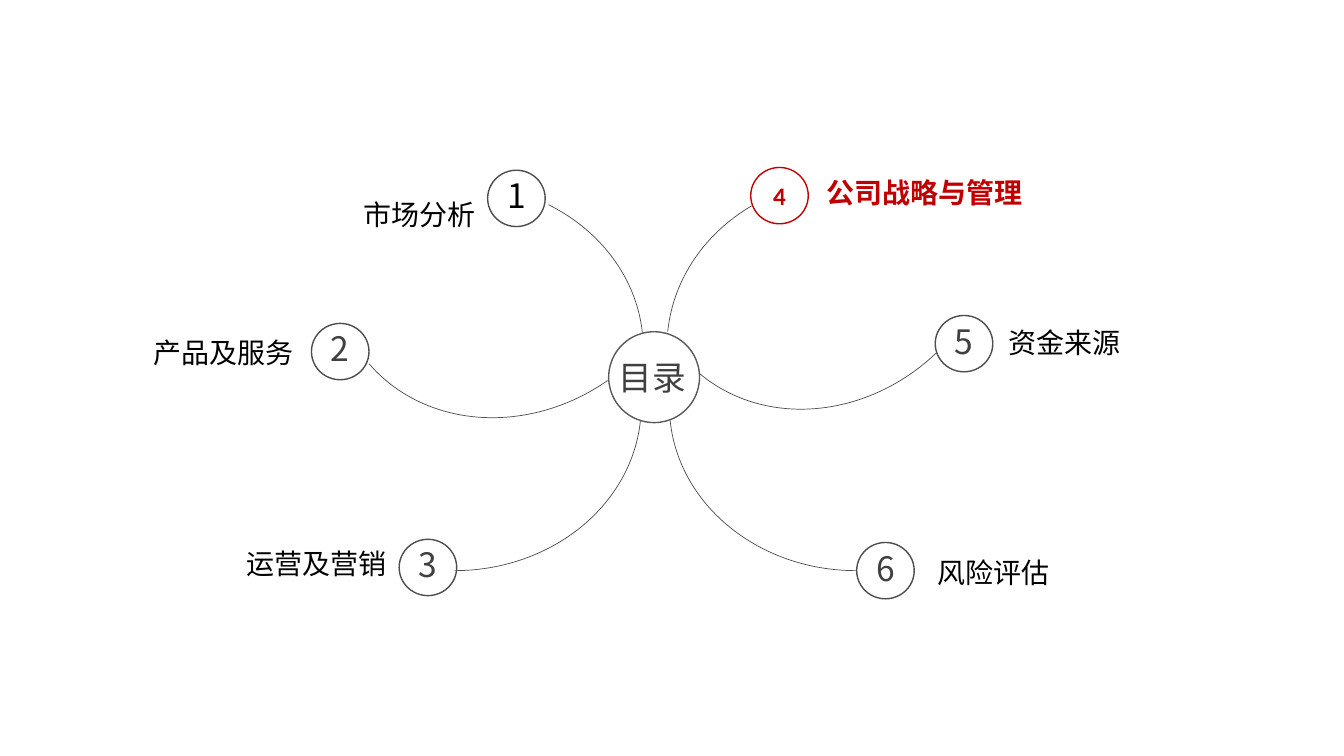
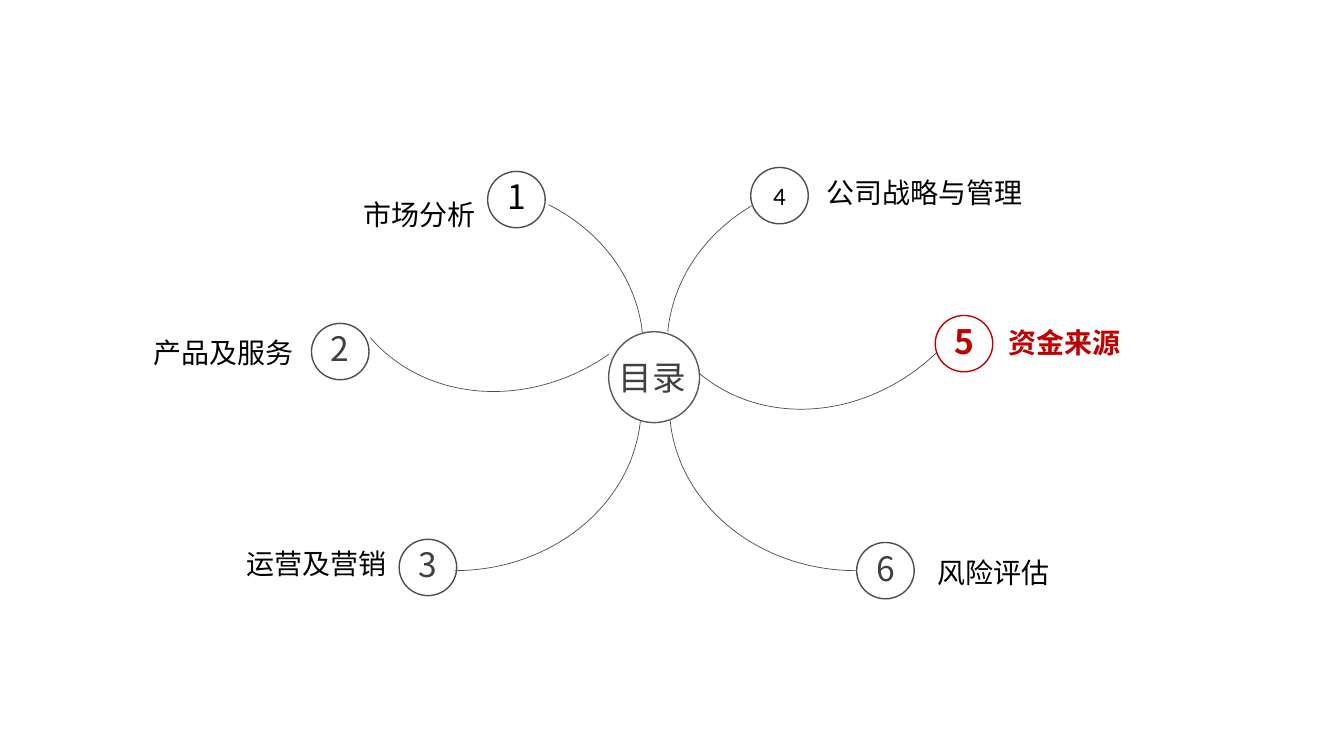
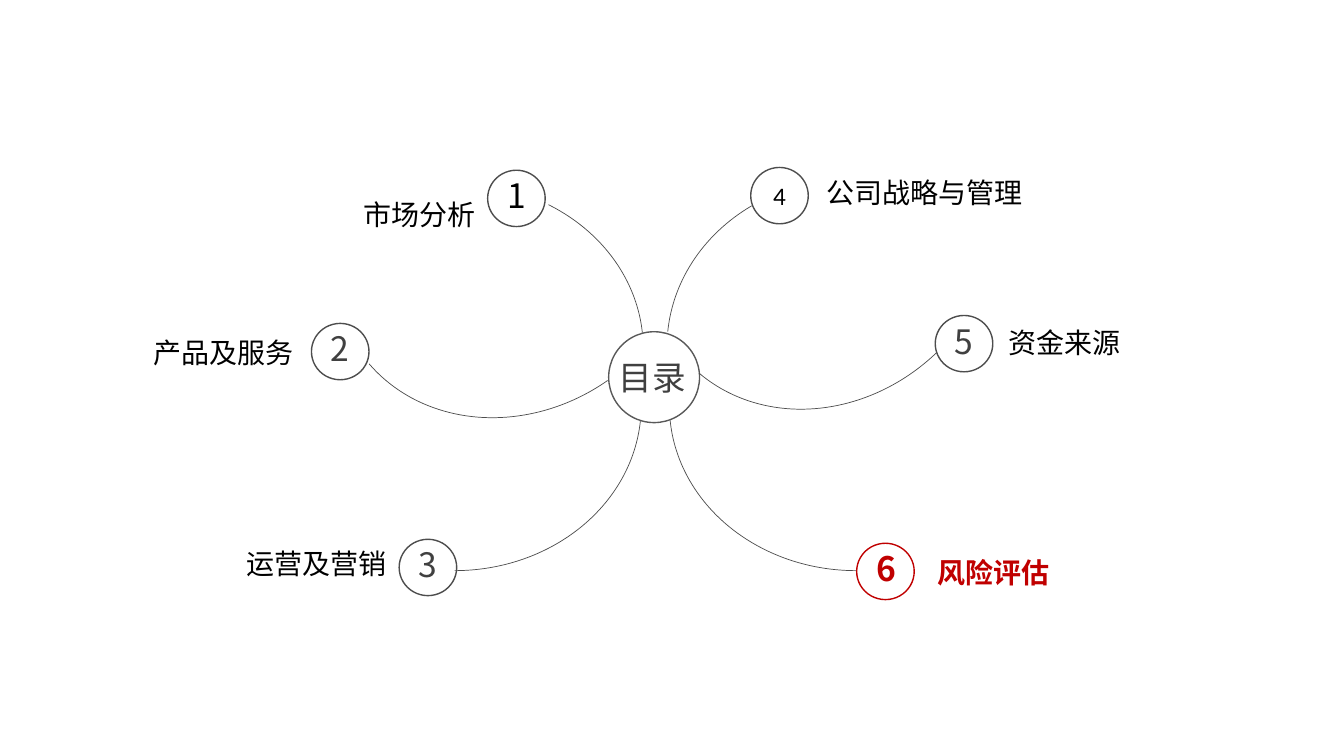
from pptx import Presentation
from pptx.dml.color import RGBColor
from pptx.enum.shapes import MSO_SHAPE as SHAPE
from pptx.enum.text import MSO_ANCHOR as ANCHOR, MSO_AUTO_SIZE as AUTO, PP_ALIGN as ALIGN
from pptx.oxml.ns import qn
from pptx.util import Cm, Pt
from lxml import etree

BLACK = RGBColor(0x00, 0x00, 0x00)
DARK = RGBColor(0x40, 0x40, 0x40)
GRAY = RGBColor(0x4D, 0x4D, 0x4D)
HUB = RGBColor(0x59, 0x59, 0x59)
RED = RGBColor(0xC0, 0x00, 0x00)
CJK = "Noto Sans CJK SC"
LATIN = "Calibri"

TOPICS = [
    (1, "市场分析", 12.29, 4.29, 8.92, 4.85, 4.09),
    (2, "产品及服务", 7.85, 8.15, 3.61, 8.33, 4.24),
    (3, "运营及营销", 10.06, 13.59, 5.97, 13.64, 4.09),
    (4, "公司战略与管理", 18.92, 4.22, 20.57, 4.29, 6.22),
    (5, "资金来源", 23.57, 7.95, 25.17, 8.08, 4.09),
    (6, "风险评估", 21.59, 13.67, 23.37, 13.87, 4.09),
]
ARCS = [
    (6.81, 4.62, 8.31, 302.6, 355.2, 0),
    (16.81, 4.5, 8.48, 184.7, 234.2, 0),
    (6.76, 6.07, 8.31, 4.5, 90, 0),
    (16.87, 6.07, 8.31, 90, 175.5, 0),
    (16.03, 1.73, 8.31, 90, 175.5, 316),
]
SLIDES = [
    (4, {}, (8.23, 2.03)),
    (5, {1: 4.32}, (8.26, 1.37)),
    (6, {6: 13.69}, (8.23, 2.03)),
]


def write(tf, text, size=20, font=LATIN, color=BLACK, bold=False, wrap=True,
          align=ALIGN.LEFT, anchor=ANCHOR.TOP, fit=AUTO.SHAPE_TO_FIT_TEXT):
    tf.word_wrap = wrap
    tf.auto_size = fit
    tf.vertical_anchor = anchor
    p = tf.paragraphs[0]
    p.alignment = align
    r = p.add_run()
    r.text = text
    r.font.size = Pt(size)
    r.font.bold = bold
    r.font.color.rgb = color
    r.font.name = font
    etree.SubElement(r.font._element, qn("a:ea")).set("typeface", CJK)


def outline(s, kind, left, top, width, height, color=GRAY, weight=1):
    sp = s.shapes.add_shape(kind, Cm(left), Cm(top), Cm(width), Cm(height))
    sp.shadow.inherit = False
    sp.fill.background()
    sp.line.color.rgb = color
    sp.line.width = Pt(weight)
    return sp


prs = Presentation()
prs.slide_width, prs.slide_height = Cm(33.87), Cm(19.05)

for active, moved, (arc_left, arc_top) in SLIDES:
    s = prs.slides.add_slide(prs.slide_layouts[5])
    title = s.shapes.title
    title.left, title.top, title.width, title.height = Cm(15.34), Cm(8.86), Cm(2.36), Cm(1.3)
    write(title.text_frame, "目录", size=24, font=CJK, color=DARK)
    outline(s, SHAPE.OVAL, 15.34, 8.36, 2.29, 2.29, color=HUB)

    for left, top, height, start, end, turn in ARCS + [(arc_left, arc_top, 8.31, 90, 175.5, 325)]:
        arc = outline(s, SHAPE.ARC, left, top, 9.4, height, weight=0.5)
        arc.adjustments[0] = start * 0.6
        arc.adjustments[1] = end * 0.6
        arc.rotation = turn

    for number, name, left, top, name_left, name_top, name_width in TOPICS:
        on = number == active
        top = moved.get(number, top)
        circle = outline(s, SHAPE.OVAL, left, top, 1.45, 1.42, color=RED if on else GRAY)
        if number == 4:
            write(circle.text_frame, str(number), size=18, color=RED if on else BLACK, bold=on,
                  align=ALIGN.CENTER, anchor=ANCHOR.MIDDLE, fit=AUTO.NONE)
        else:
            box = s.shapes.add_textbox(Cm(left + 0.24), Cm(top), Cm(0.99), Cm(1.27))
            color = RED if on else BLACK if number == 1 else DARK
            write(box.text_frame, str(number), size=24, font=CJK, color=color, bold=on, wrap=False)
        box = s.shapes.add_textbox(Cm(name_left), Cm(name_top), Cm(name_width), Cm(1.09))
        write(box.text_frame, name, color=RED if on else BLACK, bold=on)

prs.save("out.pptx")
